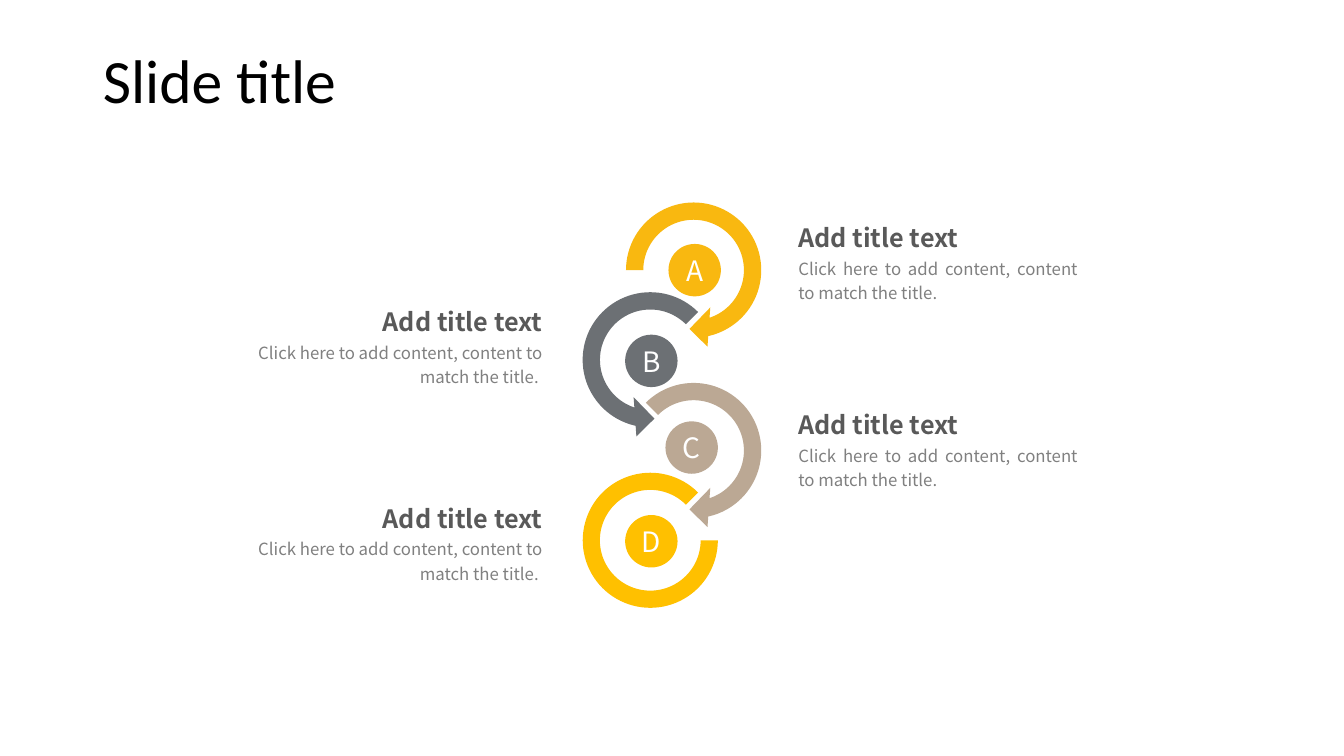
from pptx import Presentation
from pptx.dml import color
from pptx.enum import shapes, text
from pptx.util import Inches, Pt

FONT = "Noto Sans CJK SC"
KIND = shapes.MSO_SHAPE
SIDE = text.PP_ALIGN
ANCHOR = text.MSO_ANCHOR
BADGE = 0.52


def tint(code):
    return color.RGBColor.from_string(code)


def write(shape, words, size=12, ink="808080", font=FONT, bold=False,
          side=SIDE.LEFT, anchor=ANCHOR.TOP, line=1.0, fit=text.MSO_AUTO_SIZE.NONE):
    frame = shape.text_frame
    frame.word_wrap = True
    frame.auto_size = fit
    frame.vertical_anchor = anchor
    par = frame.paragraphs[0]
    par.alignment = side
    par.line_spacing = line
    run = par.add_run()
    run.text = words
    run.font.size = Pt(size)
    run.font.name = font
    run.font.bold = bold
    run.font.color.rgb = tint(ink)


def draw(group, kind, box, fill, ratios=()):
    shape = group.shapes.add_shape(kind, *map(Inches, box))
    shape.shadow.inherit = False
    shape.fill.solid()
    shape.fill.fore_color.rgb = tint(fill)
    shape.line.fill.background()
    for spot, ratio in enumerate(ratios):
        shape.adjustments[spot] = ratio
    return shape


def head(slide, box):
    title = slide.shapes.title
    title.left, title.top, title.width, title.height = map(Inches, box)
    write(title, "Slide title", size=44, ink="000000", font="Calibri",
          anchor=ANCHOR.MIDDLE, line=0.9)


def ring(group, box, kind, ratios, letter, fill, shift):
    left, top, width, height = box
    draw(group, kind, box, fill, ratios)
    across, down = shift
    spot = (left + across, top + down, BADGE, BADGE)
    badge = draw(group, KIND.OVAL, spot, fill)
    frame = badge.text_frame
    frame.margin_left = frame.margin_right = 0
    write(badge, letter, size=20, ink="FFFFFF", side=SIDE.CENTER, anchor=ANCHOR.MIDDLE)


def chain(slide):
    group = slide.shapes.add_group_shape()
    turn, back, arc = KIND.CIRCULAR_ARROW, KIND.LEFT_CIRCULAR_ARROW, KIND.BLOCK_ARC
    rings = [
        ((6.1, 3.69, 1.56, 1.56), turn, (0.11, 11.423, 45, 135, 0.125), "C", "BBA894", (0.5, 0.49)),
        ((5.78, 4.69, 1.34, 1.34), arc, (0, 189, 0.127), "D", "FFC000", (0.42, 0.42)),
        ((5.67, 2.79, 1.56, 1.56), back, (0.11, 11.423, 63, 189, 0.125), "B", "6C7074", (0.53, 0.53)),
        ((6.1, 1.9, 1.56, 1.56), turn, (0.11, 11.423, 45, 108, 0.125), "A", "F9B810", (0.53, 0.52)),
    ]
    for item in rings:
        ring(group, *item)


def note(slide, box, side):
    left, top, width, height = box
    group = slide.shapes.add_group_shape()
    short = 2.45
    start = left + width - short if side == SIDE.RIGHT else left
    parts = [
        ("Click here to add content, content to match the title. ",
         (left, top + 0.38, width, height - 0.38), {}),
        ("Add title text", (start, top, short, 0.44),
         {"size": 18, "ink": "595959", "bold": True}),
    ]
    for words, spot, style in parts:
        shape = group.shapes.add_textbox(*map(Inches, spot))
        write(shape, words, side=side, line=1.2,
              fit=text.MSO_AUTO_SIZE.SHAPE_TO_FIT_TEXT, **style)


def main():
    deck = Presentation()
    deck.slide_width, deck.slide_height = Inches(13.33), Inches(7.5)
    slide = deck.slides.add_slide(deck.slide_layouts[5])
    head(slide, (0.92, 0.4, 11.5, 0.85))
    chain(slide)
    for top in (2.1, 3.95):
        note(slide, (7.82, top, 2.97, 0.97), SIDE.JUSTIFY)
    for top in (2.93, 4.88):
        note(slide, (2.29, top, 3.19, 0.97), SIDE.RIGHT)
    deck.save("out.pptx")


if __name__ == "__main__":
    main()
